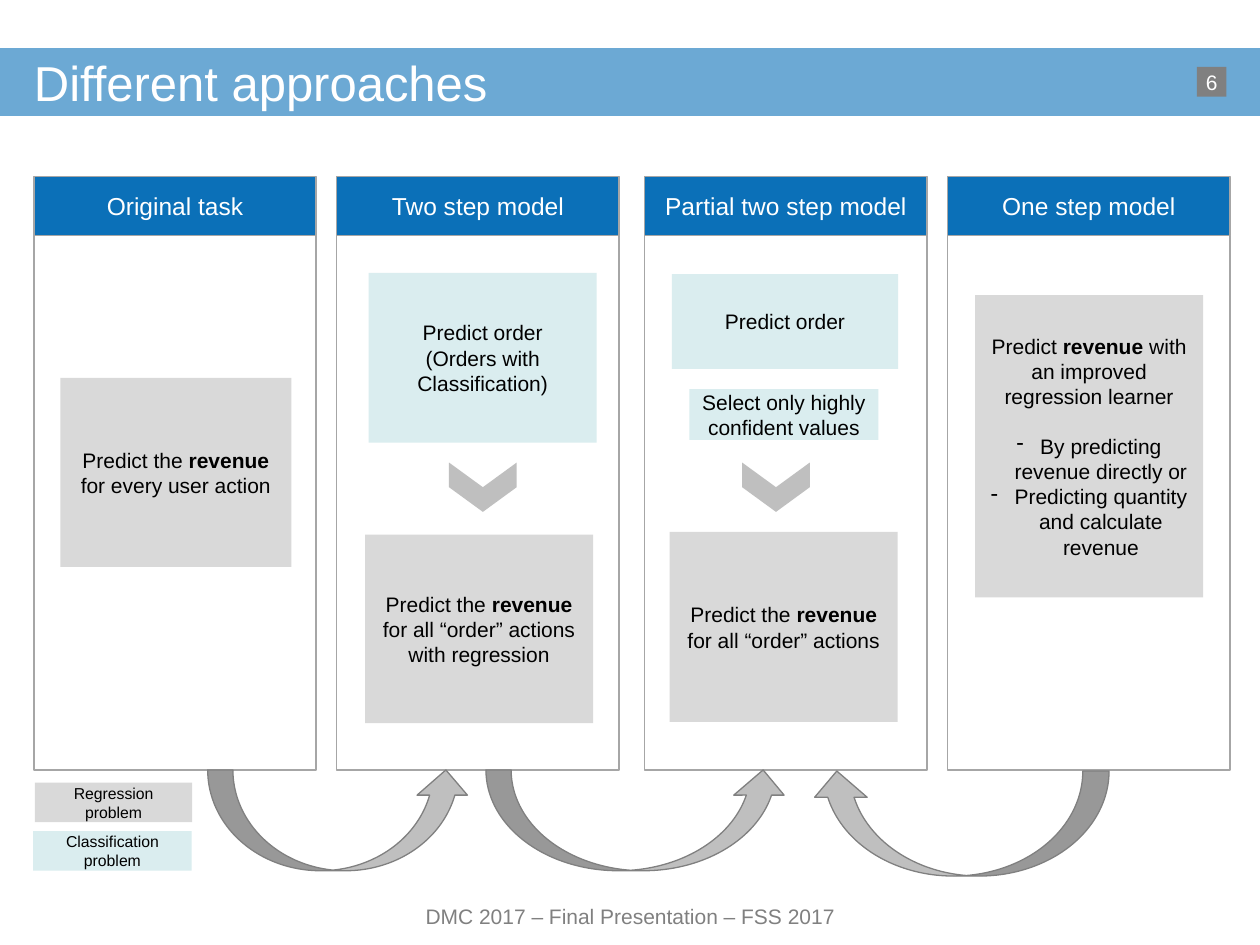
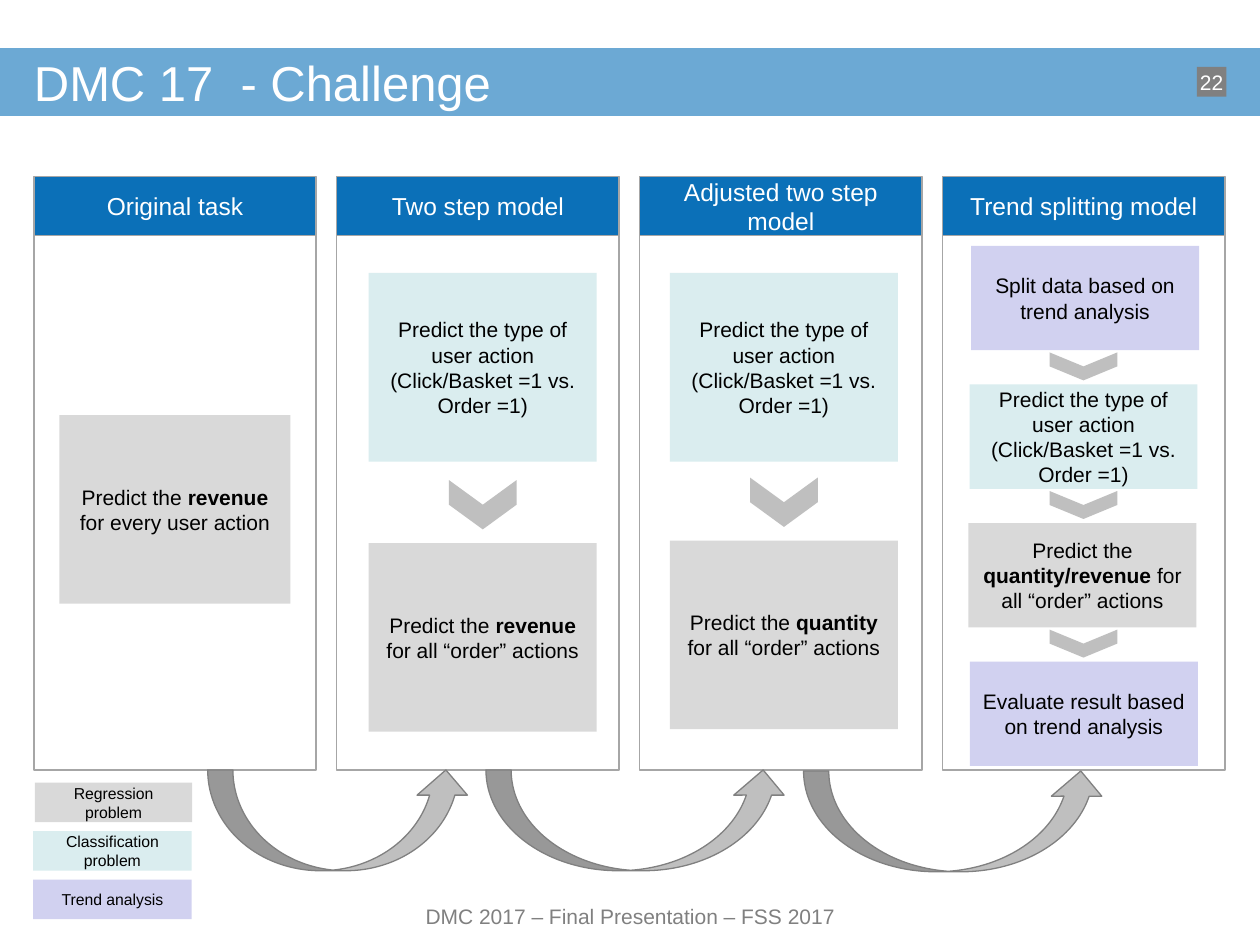
from pptx import Presentation
from pptx.dml.color import RGBColor
from pptx.enum.shapes import MSO_SHAPE
from pptx.enum.text import MSO_ANCHOR, PP_ALIGN
from pptx.oxml.ns import qn
from pptx.util import Pt
from lxml.etree import SubElement

# Shared look
FONT = "Arial"
BLUE, WHITE, BLACK = "0B70B8", "FFFFFF", "000000"
RULE, DARK, MID = "A6A6A6", "808080", "BFBFBF"
GREY, MINT, LILAC = "D9D9D9", "DAEDEF", "D1D1F0"
FOOTER = "DMC 2017 – Final Presentation – FSS 2017"

# Column grid
LEFT, STEP, WIDTH = 19.4, 173.1, 161.3
TOP, HEAD, BODY = 100.8, 33.8, 305.4
WIDE = 130.3
ACTION = "Predict the type of user action (Click/Basket =1 vs.\vOrder =1)"
TASK = "Predict the *revenue* for every user action"


def color(code):
    return RGBColor.from_string(code)


def write(shape, text, size, ink, align=PP_ALIGN.CENTER, pad=True):
    """Fill in text; each line is a paragraph, *stars* mark bold."""
    frame = shape.text_frame
    frame.word_wrap = True
    frame.vertical_anchor = MSO_ANCHOR.MIDDLE
    if not pad:
        frame.margin_left = frame.margin_right = 0
        frame.margin_top = frame.margin_bottom = 0
    for i, line in enumerate(text.split("\n")):
        para = frame.add_paragraph() if i else frame.paragraphs[0]
        para.alignment = align
        first, *rest = line.split("*")
        para.text = first
        for j, part in enumerate(rest):
            run = para.add_run()
            run.text = part
            run.font.bold = j % 2 == 0
        for run in para.runs:
            run.font.name = FONT
            run.font.size = Pt(size)
            run.font.color.rgb = color(ink)


def draw(slide, kind, x, y, w, h, fill=None, line=None):
    shape = slide.shapes.add_shape(kind, Pt(x), Pt(y), Pt(w), Pt(h))
    shape.shadow.inherit = False
    if fill:
        shape.fill.solid()
        shape.fill.fore_color.rgb = color(fill)
    else:
        shape.fill.background()
    if line:
        shape.line.color.rgb = color(line)
        shape.line.width = Pt(0.75)
    else:
        shape.line.fill.background()
    return shape


def label(slide, x, y, w, h, text, size, ink, align):
    box = slide.shapes.add_textbox(Pt(x), Pt(y), Pt(w), Pt(h))
    write(box, text, size, ink, align, pad=False)


def card(slide, x, y, h, fill, text, w=WIDE, size=12):
    box = draw(slide, MSO_SHAPE.RECTANGLE, x, y, w, h, fill)
    write(box, text, size, BLACK)
    return box


def column(slide, x, name):
    head = draw(slide, MSO_SHAPE.RECTANGLE, x, TOP, WIDTH, HEAD, BLUE, RULE)
    write(head, name, 14, WHITE)
    draw(slide, MSO_SHAPE.RECTANGLE, x, TOP + HEAD, WIDTH, BODY, None, RULE)


def chevron(slide, mid, y, high=28.2, wide=38.7):
    """Point down, centred on mid, with its top at y."""
    shape = draw(slide, MSO_SHAPE.CHEVRON, mid - high / 2,
                 y + (high - wide) / 2, high, wide, MID)
    shape.rotation = 90


def arc(slide, x, w, y=440, h=57.6, flip=False):
    shape = draw(slide, MSO_SHAPE.CURVED_UP_ARROW, x, y, w, h, MID, DARK)
    if flip:
        shape._element.spPr.get_or_add_xfrm().set("flipH", "1")


def dash(para):
    props = para._p.get_or_add_pPr()
    props.set("marL", str(Pt(13.5)))
    props.set("indent", str(-Pt(13.5)))
    SubElement(props, qn("a:buChar")).set("char", "-")


def legend(slide, items):
    for i, (fill, text) in enumerate(items):
        x, w = (18.9, 90.7) if i else (20, 89.8)
        card(slide, x, 447.3 + 27.7 * i, 22.5, fill, text, w, 9)


def base(deck, title, page, names, shift=0):
    """Start a slide with band, title, footer, page number and columns."""
    slide = deck.slides.add_slide(deck.slide_layouts[6])
    band = draw(slide, MSO_SHAPE.RECTANGLE, 0, 27.5, 720, 38.8, BLUE)
    tint = band._element.spPr.find(qn("a:solidFill"))[0]
    SubElement(tint, qn("a:alpha")).set("val", "60000")
    label(slide, LEFT, 27.5, 680, 38.8, title, 28, WHITE, PP_ALIGN.LEFT)
    label(slide, 190, 513.5, 340.5, 20, FOOTER, 12, DARK, PP_ALIGN.CENTER)
    mark = draw(slide, MSO_SHAPE.RECTANGLE, 683.9, 38.3, 17, 17, DARK)
    write(mark, page, 12, WHITE, pad=False)
    mark.text_frame.word_wrap = False
    for i, name in enumerate(names):
        column(slide, LEFT + STEP * i + (shift if i > 1 else 0), name)
    arc(slide, 118.7, 150.5)
    arc(slide, 277.7, 172.8)
    return slide


def models(deck):
    slide = base(deck, "Different approaches", "6",
                 ["Original task", "Two step model",
                  "Partial two step model", "One step model"], shift=2.9)
    arc(slide, 463.2, 170.6, 440.6, 60, flip=True)

    # Original task
    card(slide, 34.5, 216, 108, GREY, TASK, 132)

    # Two step model
    card(slide, 210.7, 156, 97, MINT,
         "Predict order\n(Orders with Classification)")
    chevron(slide, 275.9, 264.3)
    card(slide, 208.6, 305.5, 107.7, GREY,
         "Predict the *revenue* for all “order” actions\nwith regression")

    # Partial two step model
    card(slide, 384, 156.7, 54.2, MINT, "Predict order", 129.2)
    card(slide, 394, 222.4, 29, MINT,
         "Select only highly confident values", 108)
    chevron(slide, 443.4, 264.3)
    card(slide, 382.7, 304, 108.6, GREY,
         "Predict the *revenue *for all “order” actions")

    # One step model
    plan = card(slide, 557.2, 168.7, 172.7, GREY,
                "Predict *revenue* with an improved regression learner\n"
                "By predicting revenue directly or\n"
                "Predicting quantity and calculate revenue")
    intro, *points = plan.text_frame.paragraphs
    intro.space_after = Pt(14)
    for point in points:
        dash(point)

    legend(slide, [(GREY, "Regression problem"),
                   (MINT, "Classification problem")])


def trends(deck):
    slide = base(deck, "DMC 17  - Challenge", "22",
                 ["Original task", "Two step model",
                  "Adjusted two step model", "Trend splitting model"])
    arc(slide, 459.2, 172.8, 440.6)

    # Original task
    card(slide, 34, 237.2, 107.8, GREY, TASK, 132)

    # Two step model and its adjusted form
    for x, y, goal in [(210.7, 310.3, "revenue"), (382.8, 308.9, "quantity")]:
        card(slide, x, 156, 107.8, MINT, ACTION)
        chevron(slide, x + WIDE / 2, y - 36)
        card(slide, x, y, 107.8, GREY,
             f"Predict the *{goal}* for all “order” actions")

    # Trend splitting model
    steps = [
        (554.9, LILAC, "Split data based on trend analysis"),
        (554, MINT, ACTION),
        (553.4, GREY,
         "Predict the *quantity/revenue* for all “order” actions"),
        (554.2, LILAC, "Evaluate result based on trend analysis"),
    ]
    for i, (x, fill, text) in enumerate(steps):
        y = 140.5 + 79.2 * i
        card(slide, x, y, 59.6, fill, text)
        if i:
            chevron(slide, 619.1, y - 18.3, 16)

    legend(slide, [(GREY, "Regression problem"),
                   (MINT, "Classification problem"),
                   (LILAC, "Trend analysis")])


def main():
    deck = Presentation()
    deck.slide_width, deck.slide_height = Pt(720), Pt(540)
    models(deck)
    trends(deck)
    deck.save("out.pptx")


if __name__ == "__main__":
    main()
